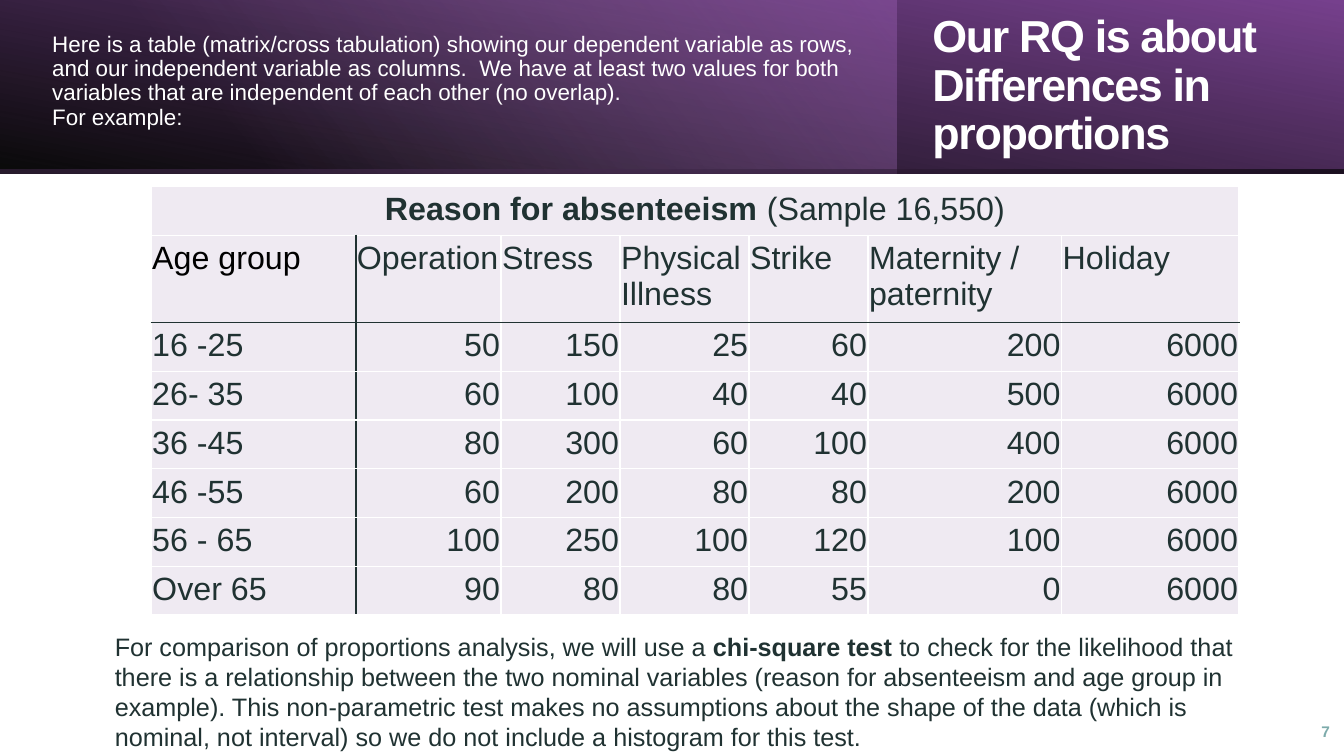
import pptx
import pptx.util
import pptx.dml.color
import pptx.enum.dml
import pptx.enum.shapes
import pptx.enum.text
import pptx.oxml.ns
from lxml import etree

Inches = pptx.util.Inches
Pt = pptx.util.Pt
qn = pptx.oxml.ns.qn
ALIGN = pptx.enum.text.PP_ALIGN
ANCHOR = pptx.enum.text.MSO_ANCHOR

COLORS = {
    "white": "FFFFFF",
    "black": "000000",
    "ink": "203232",
    "cell": "EFEAF2",
    "plum": "77418E",
    "violet": "9C5FB5",
    "lilac": "C49FD3",
    "teal": "7DABAB",
}

HEADS = ["Age group", "Operation", "Stress", "Physical Illness", "Strike",
         "Maternity /\npaternity", "Holiday"]
ROWS = [
    ["16 -25", 50, 150, 25, 60, 200, 6000],
    ["26- 35", 60, 100, 40, 40, 500, 6000],
    ["36 -45", 80, 300, 60, 100, 400, 6000],
    ["46 -55", 60, 200, 80, 80, 200, 6000],
    ["56 - 65", 100, 250, 100, 120, 100, 6000],
    ["Over 65", 90, 80, 80, 55, 0, 6000],
]
WIDTHS = [2.03, 1.44, 1.18, 1.28, 1.18, 1.92, 1.76]


def rgb(name):
    return pptx.dml.color.RGBColor.from_string(COLORS[name])


def style(para, size, color, bold=None, align=None):
    font = para.font
    font.name = "Arial"
    font.size = Pt(size)
    font.bold = bold
    font.color.rgb = rgb(color)
    if align is not None:
        para.alignment = align


def add_runs(para, parts):
    for text, bold in parts:
        run = para.add_run()
        run.text = text
        run.font.bold = bold


def add_band(slide, width, stops, angle, flip=False, turn=0):
    band = slide.shapes.add_shape(
        pptx.enum.shapes.MSO_SHAPE.RECTANGLE, 0, 0, Inches(width), Inches(1.72))
    band.shadow.inherit = False
    band.line.fill.background()
    band.rotation = turn
    if flip:
        band._element.spPr.find(qn("a:xfrm")).set("flipH", "1")
    band.fill.gradient()
    band.fill.gradient_angle = 360 - angle
    for stop, (place, color, alpha) in zip(band.fill.gradient_stops, stops):
        stop.position = place / 100
        stop.color.rgb = rgb(color)
    grad = band._element.spPr.find(qn("a:gradFill"))
    if turn:
        grad.set("rotWithShape", "0")
    for tint, (place, color, alpha) in zip(grad.iter(qn("a:srgbClr")), stops):
        if alpha < 100:
            etree.SubElement(tint, qn("a:alpha")).set("val", str(alpha * 1000))


def add_text(slide, left, top, width, height, anchor=ANCHOR.MIDDLE):
    box = slide.shapes.add_textbox(
        Inches(left), Inches(top), Inches(width), Inches(height))
    frame = box.text_frame
    frame.word_wrap = True
    frame.vertical_anchor = anchor
    return frame


def add_edge(cell, side, color):
    props = cell._tc.get_or_add_tcPr()
    edge = etree.Element(qn("a:" + side), w=str(Pt(0.96)))
    fill = etree.SubElement(edge, qn("a:solidFill"))
    etree.SubElement(fill, qn("a:srgbClr")).set("val", COLORS[color])
    props.append(edge)


def fill_cell(cell, row, col, text):
    cell.margin_left = cell.margin_right = Inches(0.01)
    cell.margin_top = cell.margin_bottom = Inches(0.05)
    dark = {
        "lnL": row > 0 and col == 1,
        "lnR": row > 0 and col == 0,
        "lnT": row == 2,
        "lnB": row == 1,
    }
    for side, inked in dark.items():
        add_edge(cell, side, "ink" if inked else "white")
    cell.fill.solid()
    cell.fill.fore_color.rgb = rgb("cell")
    cell.text_frame.text = str(text)
    color = "black" if (row, col) == (1, 0) else "ink"
    align = ALIGN.RIGHT if row > 1 and col > 0 else ALIGN.LEFT
    for para in cell.text_frame.paragraphs:
        style(para, 23, color, align=align)


def add_grid(slide):
    lines = [[""] * len(HEADS), HEADS] + ROWS
    frame = slide.shapes.add_table(
        len(lines), len(HEADS), Inches(1.5), Inches(1.85), Inches(10.79), Inches(4.22))
    table = frame.table
    table.first_row = table.horz_banding = False
    for col, width in zip(table.columns, WIDTHS):
        col.width = Inches(width)
    for num, line in enumerate(lines):
        table.rows[num].height = Inches(0.86 if num == 1 else 0.48)
        for col, text in enumerate(line):
            fill_cell(table.cell(num, col), num, col, text)
    head = table.cell(0, 0)
    head.merge(table.cell(0, len(HEADS) - 1))
    para = head.text_frame.paragraphs[0]
    para.alignment = ALIGN.CENTER
    add_runs(para, [("Reason for absenteeism ", True), ("(Sample 16,550)", False)])


def add_intro(slide):
    frame = add_text(slide, 0.42, 0.13, 8.24, 1.51)
    frame.margin_bottom = Inches(0.2)
    frame.text = (
        "Here is a table (matrix/cross tabulation) showing our dependent variable as rows, "
        "and our independent variable as columns.  We have at least two values for both "
        "variables that are independent of each other (no overlap).\nFor example:")
    for para in frame.paragraphs:
        style(para, 16, "white")
        para.line_spacing = 0.9


def add_title(slide):
    frame = add_text(slide, 9.15, 0.38, 3.54, 0.96)
    frame.text = "Our RQ is about Differences in proportions"
    para = frame.paragraphs[0]
    style(para, 32, "white", True)
    para.line_spacing = 0.9
    para.space_before = Pt(10)
    para.space_after = Pt(9.9)
    para.runs[0].font._element.set("spc", "-100")


def add_number(slide):
    frame = add_text(slide, 12.8, 7.06, 0.49, 0.4)
    frame.text = "7"
    style(frame.paragraphs[0], 11, "teal", True, ALIGN.RIGHT)
    frame.paragraphs[0].space_after = Pt(6)


def add_note(slide):
    frame = add_text(slide, 1.04, 6.21, 11.64, 1.3, ANCHOR.TOP)
    frame.auto_size = pptx.enum.text.MSO_AUTO_SIZE.SHAPE_TO_FIT_TEXT
    para = frame.paragraphs[0]
    style(para, 18, "ink")
    add_runs(para, [
        ("For comparison of proportions analysis, we will use a ", False),
        ("chi-square test ", True),
        ("to check for the likelihood that there is a relationship between the two nominal "
         "variables (reason for absenteeism and age group in example). This non-parametric "
         "test makes no assumptions about the shape of the data (which is nominal, not "
         "interval) so we do not include a histogram for this test.", False),
    ])


def main():
    deck = pptx.Presentation()
    deck.slide_width = Inches(13.33)
    deck.slide_height = Inches(7.5)
    slide = deck.slides.add_slide(deck.slide_layouts[6])
    add_band(slide, 13.33, [(0, "black", 96), (100, "plum", 100)], 260, True, 180)
    add_band(slide, 8.89, [(26, "lilac", 0), (100, "violet", 41)], 320)
    add_band(slide, 13.33, [(22, "violet", 15), (100, "black", 63)], 100, True)
    add_intro(slide)
    add_title(slide)
    add_number(slide)
    add_grid(slide)
    add_note(slide)
    deck.save("out.pptx")


if __name__ == "__main__":
    main()
